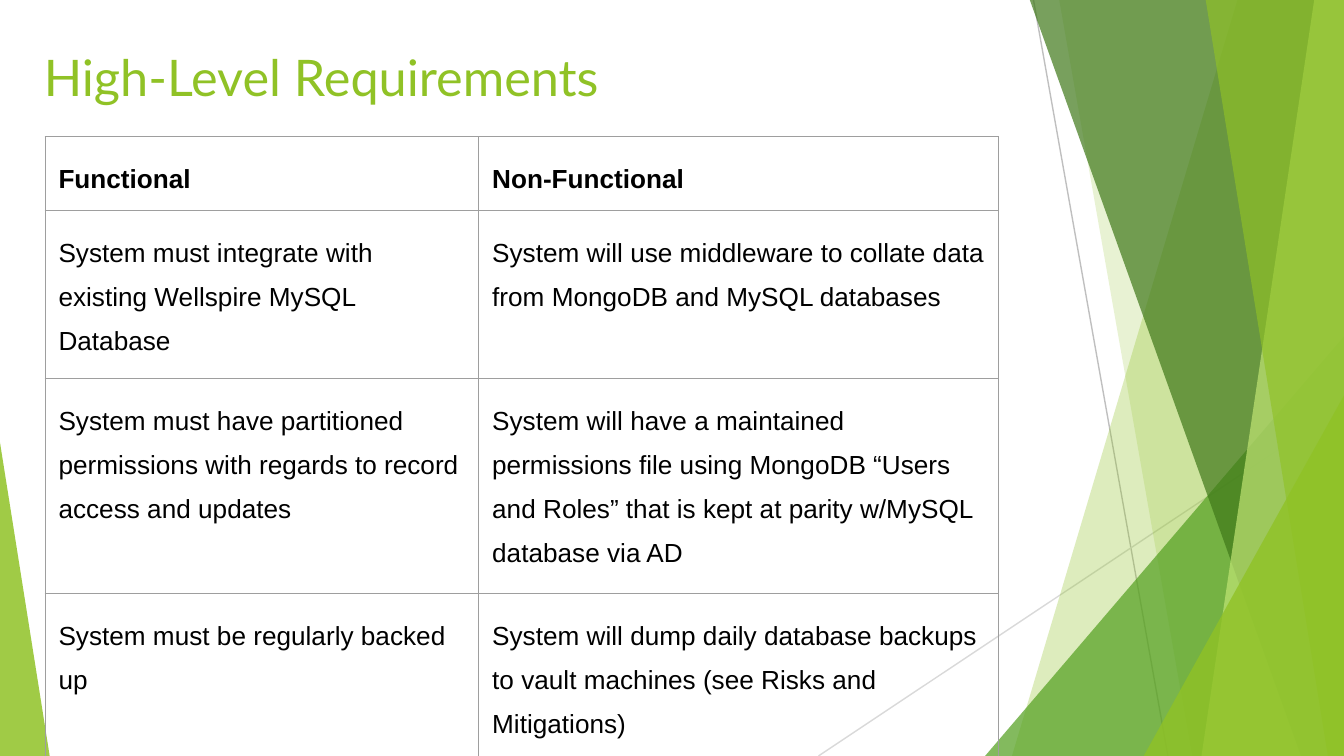
from dataclasses import dataclass

import pptx
import pptx.dml.color
import pptx.enum.shapes
import pptx.enum.text
import pptx.oxml
import pptx.oxml.ns
import pptx.util


@dataclass(frozen=True)
class Theme:
    lime: str = "90C226"
    leaf: str = "54A021"
    forest: str = "3F7819"
    pale: str = "C0E474"
    ink: str = "000000"
    border: str = "9E9E9E"
    ray_dark: str = "BFBFBF"
    ray_light: str = "D9D9D9"
    title_font: str = "Lato"
    body_font: str = "Arial"
    title_size: float = 27
    body_size: float = 14
    hairline: float = 0.75
    line_spacing: float = 1.5


@dataclass(frozen=True)
class Ray:
    start: tuple[float, float]
    end: tuple[float, float]
    color: str


@dataclass(frozen=True)
class Shard:
    top_x: float
    bottom_x: float
    color: str
    opacity: int


@dataclass(frozen=True)
class Corner:
    left: float
    top: float
    width: float
    apex: float
    color: str
    opacity: int


THEME = Theme()
WIDTH = pptx.util.Inches(10)
HEIGHT = WIDTH * 9 // 16
BLEED = -0.15

DECORATION = [
    Ray((76.9, 0), (86.9, 100), THEME.ray_dark),
    Ray((100, 53.7), (60.9, 100), THEME.ray_light),
    Shard(92.1, 75.3, THEME.lime, 30),
    Shard(78.8, 88.7, THEME.lime, 20),
    Corner(73.3, 44.5, 26.7, 1, THEME.leaf, 72),
    Shard(76.6, 96.8, THEME.forest, 70),
    Shard(97.8, 89.4, THEME.pale, 70),
    Shard(89.7, 98.8, THEME.lime, 65),
    Corner(85.1, 52.3, 14.9, 1, THEME.lime, 80),
    Corner(0, 58.5, 3.7, 0, THEME.lime, 85),
]

TABLE_HEIGHT = 79.64
COLUMN_SHARES = [32.27, 38.66]
ROW_SHARES = [8.53, 19.02, 24.18, 17.07]
REQUIREMENTS = [
    ("Functional", "Non-Functional"),
    (
        "System must integrate with existing Wellspire MySQL Database",
        "System will use middleware to collate data from MongoDB and MySQL databases",
    ),
    (
        "System must have partitioned permissions with regards to record access and updates",
        "System will have a maintained permissions file using MongoDB “Users and Roles” "
        "that is kept at parity w/MySQL database via AD",
    ),
    (
        "System must be regularly backed up",
        "System will dump daily database backups to vault machines (see Risks and Mitigations)",
    ),
]


def across(share: float) -> int:
    return round(WIDTH * share / 100)


def down(share: float) -> int:
    return round(HEIGHT * share / 100)


def rgb(color: str) -> pptx.dml.color.RGBColor:
    return pptx.dml.color.RGBColor.from_string(color)


def paint(shape, color: str, opacity: int) -> None:
    shape.shadow.inherit = False
    shape.line.fill.background()
    shape.fill.solid()
    shape.fill.fore_color.rgb = rgb(color)
    tint = shape.fill._xPr.find(".//" + pptx.oxml.ns.qn("a:srgbClr"))
    alpha = tint.makeelement(pptx.oxml.ns.qn("a:alpha"), {"val": str(opacity * 1000)})
    tint.append(alpha)


def draw_ray(page, ray: Ray) -> None:
    line = page.shapes.add_connector(
        pptx.enum.shapes.MSO_CONNECTOR.STRAIGHT,
        across(ray.start[0]), down(ray.start[1]), across(ray.end[0]), down(ray.end[1]),
    )
    line.line.color.rgb = rgb(ray.color)
    line.line.width = pptx.util.Pt(THEME.hairline)
    properties = line._element.spPr
    properties.append(properties.makeelement(pptx.oxml.ns.qn("a:effectLst"), {}))


def draw_shard(page, shard: Shard) -> None:
    builder = page.shapes.build_freeform(across(shard.top_x), down(BLEED))
    corners = [(100, BLEED), (100, 100), (shard.bottom_x, 100)]
    builder.add_line_segments([(across(x), down(y)) for x, y in corners], close=True)
    paint(builder.convert_to_shape(), shard.color, shard.opacity)


def draw_corner(page, corner: Corner) -> None:
    triangle = page.shapes.add_shape(
        pptx.enum.shapes.MSO_SHAPE.ISOSCELES_TRIANGLE,
        across(corner.left), down(corner.top), across(corner.width), down(100 - corner.top),
    )
    triangle.adjustments[0] = corner.apex
    paint(triangle, corner.color, corner.opacity)


def write(para, text: str, font: str, size: float, color: str, bold: bool = False) -> None:
    span = para.add_run()
    span.text = text
    span.font.name = font
    span.font.size = pptx.util.Pt(size)
    span.font.color.rgb = rgb(color)
    span.font.bold = bold


def pad(area) -> None:
    inset = pptx.util.Emu(91425)
    area.margin_left = area.margin_right = area.margin_top = area.margin_bottom = inset


def draw_title(page, text: str) -> None:
    box = page.shapes.add_textbox(across(2.26), down(4.3), across(93.2), down(13.7))
    frame = box.text_frame
    frame.word_wrap = True
    frame.vertical_anchor = pptx.enum.text.MSO_ANCHOR.TOP
    pad(frame)
    write(frame.paragraphs[0], text, THEME.title_font, THEME.title_size, THEME.lime)


def outline(cell) -> None:
    properties = cell._tc.get_or_add_tcPr()
    width = pptx.util.Pt(THEME.hairline)
    for position, side in enumerate(("lnL", "lnR", "lnT", "lnB")):
        edge = pptx.oxml.parse_xml(
            f'<a:{side} {pptx.oxml.ns.nsdecls("a")} w="{width}"><a:solidFill>'
            f'<a:srgbClr val="{THEME.border}"/></a:solidFill></a:{side}>'
        )
        properties.insert(position, edge)


def draw_table(page, rows: list[tuple[str, str]]) -> None:
    frame = page.shapes.add_table(
        len(rows), len(COLUMN_SHARES), across(3.36), down(18.1),
        across(sum(COLUMN_SHARES)), down(TABLE_HEIGHT),
    )
    table = frame.table
    table.first_row = table.horz_banding = False
    for column, share in zip(table.columns, COLUMN_SHARES):
        column.width = across(share)
    for row, share in zip(table.rows, ROW_SHARES):
        row.height = down(share)
    frame.height = down(TABLE_HEIGHT)
    for row_index, texts in enumerate(rows):
        for column_index, text in enumerate(texts):
            cell = table.cell(row_index, column_index)
            cell.fill.background()
            pad(cell)
            outline(cell)
            para = cell.text_frame.paragraphs[0]
            para.line_spacing = THEME.line_spacing
            write(para, text, THEME.body_font, THEME.body_size, THEME.ink, row_index == 0)


def main() -> None:
    deck = pptx.Presentation()
    deck.slide_width, deck.slide_height = WIDTH, HEIGHT
    page = deck.slides.add_slide(deck.slide_layouts[6])
    painters = {Ray: draw_ray, Shard: draw_shard, Corner: draw_corner}
    for piece in DECORATION:
        painters[type(piece)](page, piece)
    draw_title(page, "High-Level Requirements")
    draw_table(page, REQUIREMENTS)
    deck.save("out.pptx")


if __name__ == "__main__":
    main()
